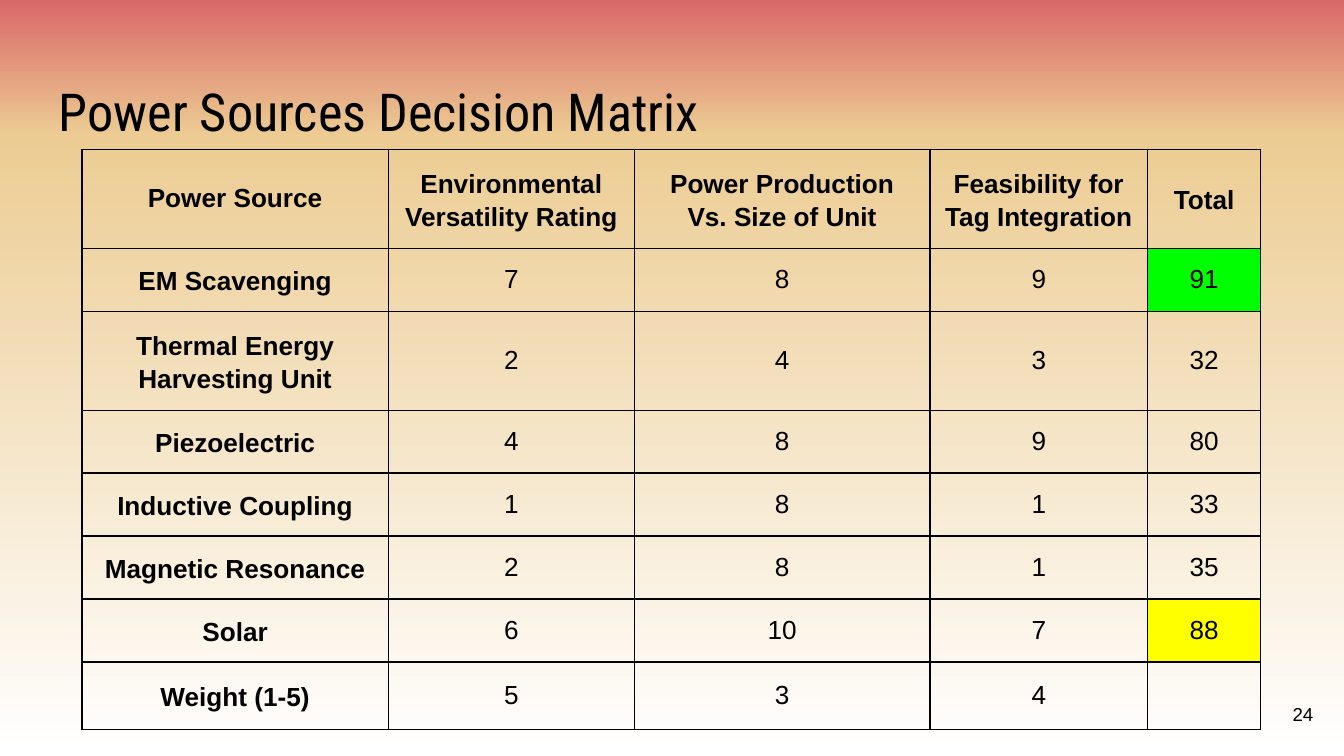
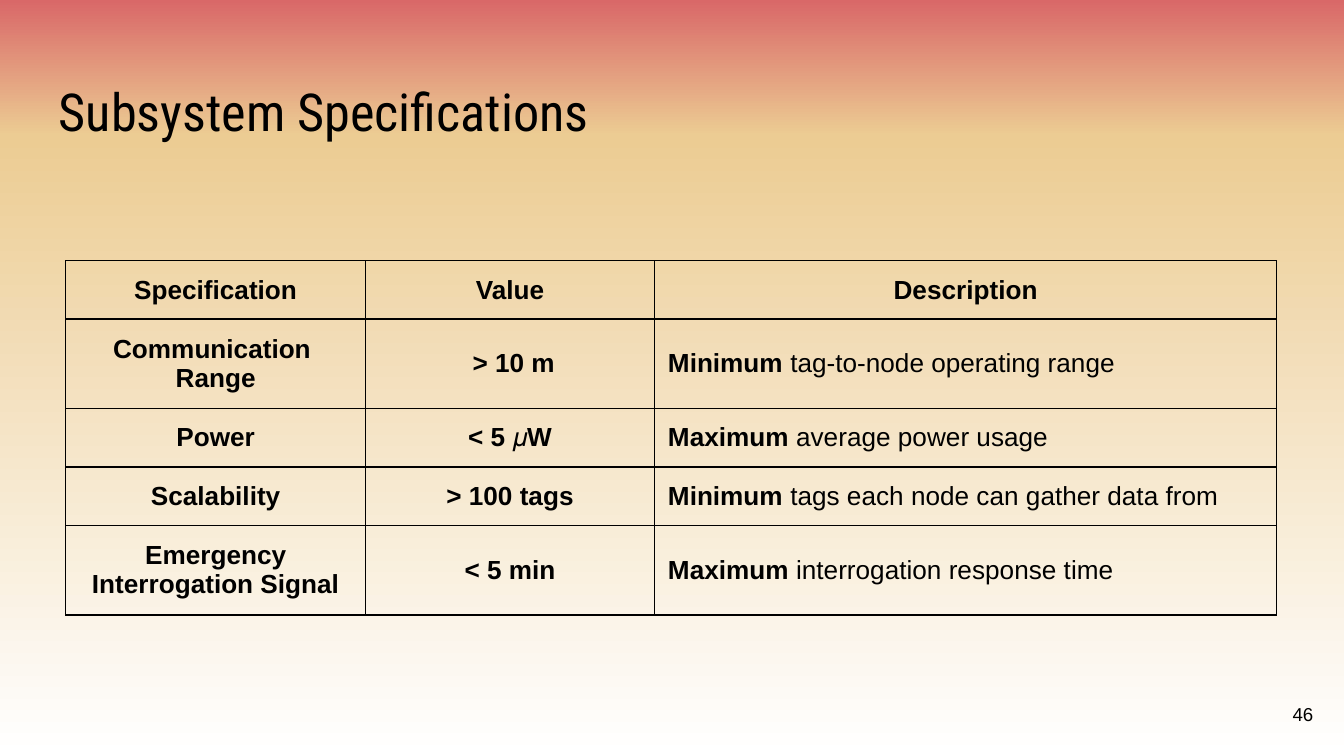
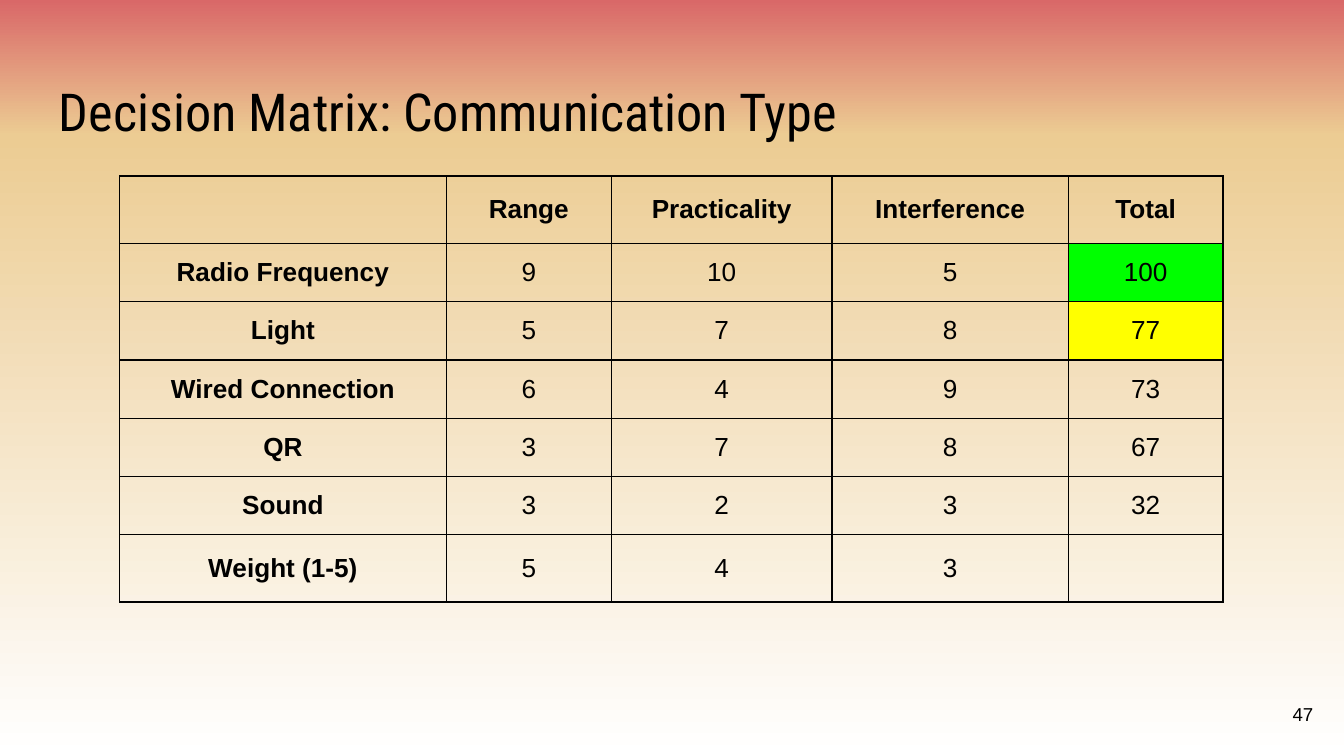
import lxml.etree
import pptx
import pptx.dml.color
import pptx.enum.text
import pptx.oxml.ns
import pptx.util

Inches = pptx.util.Inches
Pt = pptx.util.Pt
RGBColor = pptx.dml.color.RGBColor
ALIGN = pptx.enum.text.PP_ALIGN
MIDDLE = pptx.enum.text.MSO_ANCHOR.MIDDLE
qn = pptx.oxml.ns.qn

BLACK = RGBColor(0, 0, 0)
RED = RGBColor(0xD9, 0x68, 0x68)
SAND = RGBColor(0xEC, 0xCC, 0x93)
WHITE = RGBColor(0xFF, 0xFF, 0xFF)
GREEN = RGBColor(0, 0xFF, 0)
YELLOW = RGBColor(0xFF, 0xFF, 0)

STOPS = [(0, RED), (18, SAND), (100, WHITE)]
FONT = "Arial"
TITLE = {"name": "Roboto Condensed", "size": Pt(28)}
FOOT = {"name": FONT, "size": Pt(10)}
BODY = {"name": FONT, "size": Pt(14), "bold": False}
HEAD = {**BODY, "bold": True}
PAD = {"margin_" + side: Inches(0.1) for side in ("left", "top", "right", "bottom")}

POWER = [
    ["Power Source", "Environmental Versatility Rating",
     "Power Production Vs. Size of Unit", "Feasibility for Tag Integration", "Total"],
    ["EM Scavenging", "7", "8", "9", "91"],
    ["Thermal Energy Harvesting Unit", "2", "4", "3", "32"],
    ["Piezoelectric", "4", "8", "9", "80"],
    ["Inductive Coupling", "1", "8", "1", "33"],
    ["Magnetic Resonance", "2", "8", "1", "35"],
    ["Solar", "6", "10", "7", "88"],
    ["Weight (1-5)", "5", "3", "4", ""],
]
SPECS = [
    ["Specification", "Value", "Description"],
    ["Communication \nRange", " > 10 m", "Minimum tag-to-node operating range"],
    ["Power", "< 5 𝜇W", "Maximum average power usage"],
    ["Scalability", "> 100 tags", "Minimum tags each node can gather data from"],
    ["Emergency Interrogation Signal", "< 5 min", "Maximum interrogation response time"],
]
COMMS = [
    ["", "Range", "Practicality", "Interference", "Total"],
    ["Radio Frequency", "9", "10", "5", "100"],
    ["Light", "5", "7", "8", "77"],
    ["Wired Connection", "6", "4", "9", "73"],
    ["QR", "3", "7", "8", "67"],
    ["Sound", "3", "2", "3", "32"],
    ["Weight (1-5)", "5", "4", "3", ""],
]


def apply(item, style):
    for key, value in style.items():
        setattr(item, key, value)


def add_run(para, text, style):
    run = para.add_run()
    run.text = text
    apply(run.font, style)
    run.font.color.rgb = BLACK


def add_text(slide, box, text, style, **look):
    frame = slide.shapes.add_textbox(*map(Inches, box)).text_frame
    apply(frame, {"word_wrap": True, **PAD, **look})
    add_run(frame.paragraphs[0], text, style)
    return frame.paragraphs[0]


def set_fonts(deck):
    for part in (deck.element, deck.slide_master.element):
        for face in part.iter(qn("a:latin")):
            face.set("typeface", FONT)


def paint(master):
    fill = master.background.fill
    fill.gradient()
    fill.gradient_angle = 270
    stops = next(master.element.iter(qn("a:gsLst")))
    for stop in list(stops):
        stops.remove(stop)
    for place, color in STOPS:
        stop = lxml.etree.SubElement(stops, qn("a:gs"), pos=str(place * 1000))
        lxml.etree.SubElement(stop, qn("a:srgbClr"), val=str(color))


def border(cell):
    props = cell._tc.get_or_add_tcPr()
    for side in ("lnL", "lnR", "lnT", "lnB"):
        line = lxml.etree.SubElement(props, qn("a:" + side), w=str(Pt(0.75)))
        solid = lxml.etree.SubElement(line, qn("a:solidFill"))
        lxml.etree.SubElement(solid, qn("a:srgbClr"), val=str(BLACK))


def fill_cell(cell, text, style, space, lead):
    apply(cell, {"vertical_anchor": MIDDLE, **PAD})
    border(cell)
    cell.fill.background()
    if not text:
        return
    frame = cell.text_frame
    for index, line in enumerate(text.split("\n")):
        para = frame.add_paragraph() if index else frame.paragraphs[0]
        para.alignment = ALIGN.LEFT if lead else ALIGN.CENTER
        if space:
            para.line_spacing = space
        if lead:
            first, gap, rest = line.partition(" ")
            add_run(para, first, HEAD)
            add_run(para, gap + rest, BODY)
        else:
            add_run(para, line, style)


def add_grid(slide, spot, cols, rows, data, bold=1, space=None, lead=None, marks=()):
    size = (sum(cols), sum(rows))
    shape = slide.shapes.add_table(len(rows), len(cols), *map(Inches, spot + size))
    table = shape.table
    apply(table, {"first_row": False, "horz_banding": False})
    for mark in list(shape._element.iter(qn("a:tableStyleId"))):
        mark.getparent().remove(mark)
    for col, width in zip(table.columns, cols):
        col.width = Inches(width)
    for row, height in zip(table.rows, rows):
        row.height = Inches(height)
    for r, line in enumerate(data):
        for c, text in enumerate(line):
            head = r == 0 or c < bold
            gap = space if head and r + c else None
            fill_cell(table.cell(r, c), text, HEAD if head else BODY,
                      gap, r > 0 and c == lead)
    for r, color in marks:
        fill = table.cell(r, len(cols) - 1).fill
        fill.solid()
        fill.fore_color.rgb = color


def add_page(deck, title, number):
    slide = deck.slides.add_slide(deck.slide_layouts[6])
    add_text(slide, (0.34, 0.49, 9.32, 0.63), title, TITLE)
    foot = add_text(slide, (9.27, 5.1, 0.6, 0.43), str(number), FOOT,
                    vertical_anchor=MIDDLE)
    foot.alignment = ALIGN.RIGHT
    return slide


def main():
    deck = pptx.Presentation()
    deck.slide_width = Inches(10)
    deck.slide_height = Inches(10 * 9 / 16)
    set_fonts(deck)
    paint(deck.slide_master)

    slide = add_page(deck, "Power Sources Decision Matrix", 24)
    add_grid(slide, (0.61, 1.11), (2.28, 1.83, 2.2, 1.62, 0.84),
             (0.7, 0.4, 0.61, 0.4, 0.4, 0.43, 0.4, 0.37), POWER,
             space=1.15, marks=[(1, GREEN), (6, YELLOW)])

    slide = add_page(deck, "Subsystem Specifications", 46)
    add_grid(slide, (0.49, 1.94), (2.23, 2.15, 4.63),
             (0.31, 0.48, 0.33, 0.41, 0.31), SPECS, bold=2, lead=2)

    slide = add_page(deck, "Decision Matrix: Communication Type", 47)
    add_grid(slide, (0.89, 1.31), (2.43, 1.23, 1.64, 1.76, 1.15),
             (0.31, 0.23, 0.26, 0.22, 0.23, 0.24, 0.31), COMMS,
             marks=[(1, GREEN), (2, YELLOW)])

    deck.save("out.pptx")


if __name__ == "__main__":
    main()
